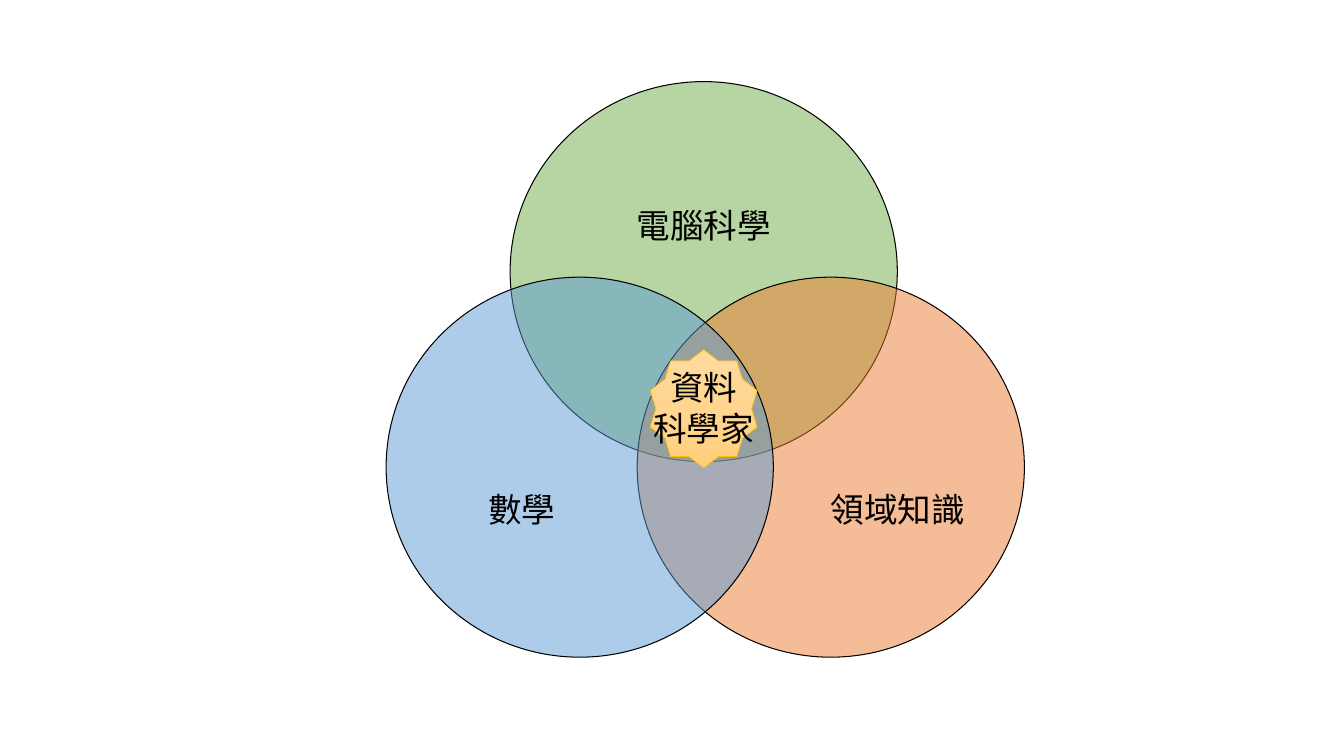
from copy import deepcopy

from lxml.etree import SubElement
from pptx import Presentation
from pptx.dml.color import RGBColor
from pptx.enum.shapes import MSO_SHAPE
from pptx.enum.text import PP_ALIGN
from pptx.oxml.ns import qn
from pptx.util import Inches, Pt

GREEN = RGBColor(0x70, 0xAD, 0x47)
ORANGE = RGBColor(0xED, 0x7D, 0x31)
BLUE = RGBColor(0x5B, 0x9B, 0xD5)
BLACK = RGBColor(0x00, 0x00, 0x00)
GOLD = RGBColor(0xFF, 0xC0, 0x00)
STAR_SHADES = [RGBColor(0xFF, 0xDB, 0x9E), RGBColor(0xFF, 0xD5, 0x90),
               RGBColor(0xFF, 0xD0, 0x7C)]
FONT = "Noto Sans CJK JP"
FONT_FORMAT = {"name": FONT, "size": Pt(24)}
PARAGRAPH_FORMAT = {"alignment": PP_ALIGN.CENTER, "line_spacing": Pt(29)}

# Discipline, colour, circle offset, label offset and label width
DISCIPLINES = [
    ("電腦科學", GREEN, (1.23, 0), (2.29, 1.17), 1.72),
    ("領域知識", ORANGE, (2.49, 1.94), (4.28, 3.99), 1.59),
    ("數學", BLUE, (0, 1.94), (0.67, 3.99), 1.35),
]


def apply_format(target, values):
    for attribute, value in values.items():
        setattr(target, attribute, value)


def add_outlined(shapes, kind, box, line_color, line_width):
    outlined = shapes.add_shape(kind, *map(Inches, box))
    outlined.shadow.inherit = False
    outlined.line.color.rgb = line_color
    outlined.line.width = Pt(line_width)
    return outlined


def add_circle(shapes, box, color):
    circle = add_outlined(shapes, MSO_SHAPE.OVAL, box, BLACK, 0.75)
    circle.fill.solid()
    circle.fill.fore_color.rgb = color
    # Half transparency shows the overlaps
    tint = circle._element.spPr.find(qn("a:solidFill"))[0]
    SubElement(tint, qn("a:alpha"), val="50000")


def add_star(shapes, box):
    star = add_outlined(shapes, MSO_SHAPE.STAR_10_POINT, box, GOLD, 0.5)
    star.fill.gradient()
    star.fill.gradient_angle = 270
    # Third stop for the middle shade
    stops = star._element.spPr.find(qn("a:gradFill")).find(qn("a:gsLst"))
    stops.insert(1, deepcopy(stops[0]))
    for index, (stop, shade) in enumerate(zip(star.fill.gradient_stops, STAR_SHADES)):
        stop.color.rgb = shade
        stop.position = index / 2


def add_label(shapes, box, lines):
    label = shapes.add_textbox(*map(Inches, box)).text_frame
    label.word_wrap = True
    label.text = "\n".join(lines)
    for paragraph in label.paragraphs:
        apply_format(paragraph, PARAGRAPH_FORMAT)
        for run in paragraph.runs:
            apply_format(run.font, FONT_FORMAT)
            run.font.color.rgb = BLACK
            SubElement(run.font._element, qn("a:ea"), typeface=FONT)


def add_venn(slide, left, top):
    shapes = slide.shapes.add_group_shape().shapes
    # Overlapping disciplines
    for _, color, (x, y), _, _ in DISCIPLINES:
        add_circle(shapes, (left + x, top + y, 3.84, 3.77), color)
    # Shared centre
    add_star(shapes, (left + 2.62, top + 2.66, 1.06, 1.17))
    add_label(shapes, (left + 2.54, top + 2.78, 1.22, 0.91), ["資料", "科學家"])
    # Discipline names
    for discipline, _, _, (x, y), width in DISCIPLINES:
        add_label(shapes, (left + x, top + y, width, 0.5), [discipline])


presentation = Presentation()
presentation.slide_width = Inches(13.33)
presentation.slide_height = Inches(7.5)
venn_slide = presentation.slides.add_slide(presentation.slide_layouts[6])
add_venn(venn_slide, 3.83, 0.81)
presentation.save("out.pptx")
